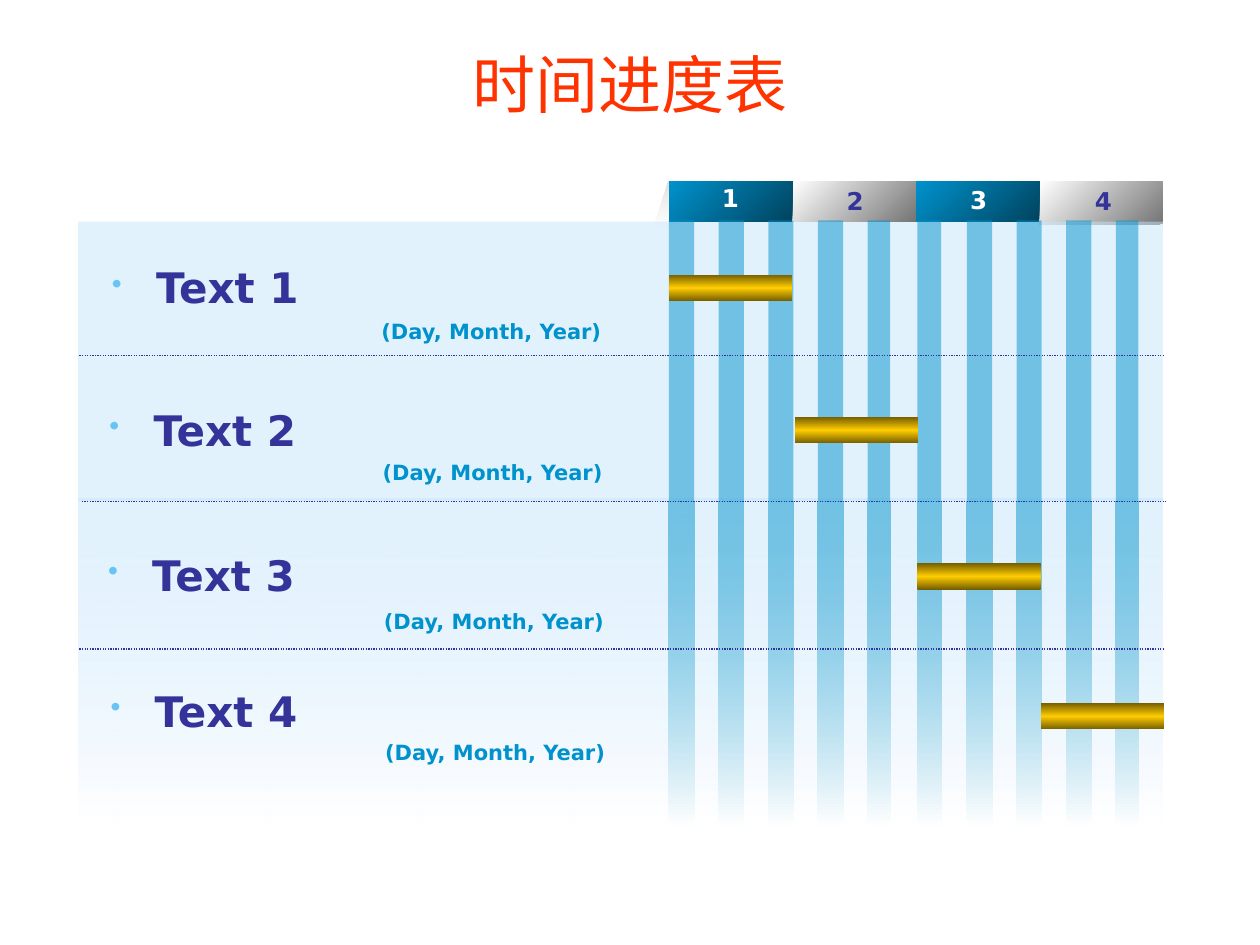
from lxml import etree
from pptx import Presentation
from pptx.dml.color import RGBColor
from pptx.enum.dml import MSO_LINE
from pptx.enum.shapes import MSO_CONNECTOR, MSO_SHAPE
from pptx.enum.text import MSO_ANCHOR, PP_ALIGN
from pptx.oxml.ns import qn
from pptx.util import Inches, Pt

# Content
TITLE = "时间进度表"
DATE = "(Day, Month, Year)"
# label, label box (left, top, width, height), date top, bar (left, top)
TASKS = [
    ("Text 1", (0.79, 2.03, 4.04, 0.43), 2.48, (5.31, 2.18)),
    ("Text 2", (0.77, 3.16, 2.38, 0.5), 3.6, (6.31, 3.31)),
    ("Text 3", (0.76, 4.31, 2.68, 0.38), 4.78, (7.28, 4.47)),
    ("Text 4", (0.78, 5.39, 2.47, 0.5), 5.82, (8.26, 5.58)),
]
# period, header style, header height, number box (left, top, width, height)
PERIODS = [
    ("1", "blue", 0.32, (5.56, 1.44, 0.56, 0.26)),
    ("2", "grey", 0.32, (6.55, 1.46, 0.51, 0.26)),
    ("3", "blue", 0.32, (7.53, 1.45, 0.51, 0.27)),
    ("4", "grey", 0.34, (8.52, 1.45, 0.43, 0.28)),
]
DIVIDERS = [(0.63, 2.82), (0.65, 3.98), (0.63, 5.15)]

COLORS = {
    "title": "FF3300", "label": "333399", "date": "0092CC", "white": "FFFFFF",
    "bullet": "66C5F4", "panel": "C7E6FD", "stripe": "0092CC",
}
# Fills: angle and stops of (position, colour, opacity)
FILLS = {
    "blue": (225, [(0, "00435E", 100), (100, "0092CC", 100)]),
    "grey": (225, [(0, "757575", 100), (100, "FFFFFF", 100)]),
    "gold": (90, [(0, "755E00", 100), (50, "FFCC00", 100), (100, "755E00", 100)]),
    "fold": (118, [(0, "DDDDDD", 100), (100, "FEFEFE", 20)]),
    "panel fade": (90, [(0, COLORS["panel"], 50), (100, "FFFFFF", 100)]),
    "stripe fade": (90, [(0, COLORS["stripe"], 50), (100, "FFFFFF", 100)]),
    "panel": (0, [(0, COLORS["panel"], 50)]),
    "stripe": (0, [(0, COLORS["stripe"], 50)]),
}

# Grid
GRID_LEFT, PERIOD_WIDTH, HEADER_TOP = 5.31, 0.98, 1.44
PANEL_LEFT, PANEL_WIDTH = 0.62, 8.61
STRIPE_COUNT, STRIPE_PITCH, STRIPE_WIDTH = 10, 0.394, 0.2
NARROW_STRIPES = {4: 0.18, 5: 0.19, 9: 0.18}
BAR_HEIGHT = 0.21


def inches(values):
    return [Inches(value) for value in values]


def paint(shape, fill_name):
    """Give a shape a gradient, or a plain translucent fill for one stop."""
    angle, stops = FILLS[fill_name]
    shape.shadow.inherit = False
    shape.line.fill.background()
    if len(stops) == 1:
        fill = etree.Element(qn("a:solidFill"))
    else:
        fill = etree.Element(qn("a:gradFill"), rotWithShape="1")
        stop_list = etree.SubElement(fill, qn("a:gsLst"))
        etree.SubElement(fill, qn("a:lin"), ang=str(angle * 60000), scaled="0")
    for position, color, opacity in stops:
        holder = fill
        if len(stops) > 1:
            holder = etree.SubElement(stop_list, qn("a:gs"), pos=str(position * 1000))
        color_element = etree.SubElement(holder, qn("a:srgbClr"), val=color)
        if opacity < 100:
            etree.SubElement(color_element, qn("a:alpha"), val=str(opacity * 1000))
    shape._element.spPr.find(qn("a:prstGeom") if shape.shape_type == 1
                             else qn("a:custGeom")).addnext(fill)


def add_block(shapes, box, fill_name):
    paint(shapes.add_shape(MSO_SHAPE.RECTANGLE, *inches(box)), fill_name)


def write(shape, text, color, size, bold=True, font="DejaVu Sans",
          align=PP_ALIGN.LEFT, bullet=False, **frame_format):
    frame = shape.text_frame
    for name, value in {"word_wrap": True, **frame_format}.items():
        setattr(frame, name, value)
    paragraph = frame.paragraphs[0]
    paragraph.alignment = align
    run = paragraph.add_run()
    run.text = text
    if bullet:
        properties = paragraph._p.get_or_add_pPr()
        properties.set("marL", str(Inches(0.35)))
        properties.set("indent", str(-Inches(0.35)))
        bullet_color = etree.SubElement(properties, qn("a:buClr"))
        etree.SubElement(bullet_color, qn("a:srgbClr"), val=COLORS["bullet"])
        etree.SubElement(properties, qn("a:buSzPct"), val="70000")
        etree.SubElement(properties, qn("a:buChar"), char="•")
    for name, value in {"size": Pt(size), "bold": bold, "name": font}.items():
        setattr(run.font, name, value)
    run.font.color.rgb = RGBColor.from_string(COLORS[color])


def add_text(slide, box, text, color, size, **formats):
    write(slide.shapes.add_textbox(*inches(box)), text, color, size, **formats)


def add_header(slide, index):
    _, style, height, _ = PERIODS[index]
    left = GRID_LEFT + index * PERIOD_WIDTH
    add_block(slide.shapes, (left, HEADER_TOP, PERIOD_WIDTH, height), style)


def add_stripes(slide, top, height, fill_name):
    group = slide.shapes.add_group_shape()
    for index in range(STRIPE_COUNT):
        left = GRID_LEFT + index * STRIPE_PITCH
        width = NARROW_STRIPES.get(index, STRIPE_WIDTH)
        add_block(group.shapes, (left, top, width, height), fill_name)


def main():
    presentation = Presentation()
    presentation.slide_width, presentation.slide_height = Inches(10), Inches(7.5)
    slide = presentation.slides.add_slide(presentation.slide_layouts[5])

    # Title
    title = slide.shapes.title
    for name, value in zip(("left", "top", "width", "height"), (0, 0.25, 10, 0.83)):
        setattr(title, name, Inches(value))
    write(title, TITLE, "title", 36, bold=False, font="Arial",
          align=PP_ALIGN.CENTER, vertical_anchor=MSO_ANCHOR.MIDDLE)

    # Panels, with the last header and the folded corner behind the upper one
    add_header(slide, 3)
    add_block(slide.shapes, (PANEL_LEFT, 3.96, PANEL_WIDTH, 2.59), "panel fade")
    builder = slide.shapes.build_freeform(*inches((5.06, 1.83)))
    builder.add_line_segments([inches((5.4, 1.83)), inches((5.4, 1.49))], close=True)
    fold = builder.convert_to_shape()
    fold.rotation = 332.5
    paint(fold, "fold")
    add_block(slide.shapes, (PANEL_LEFT, 1.76, PANEL_WIDTH, 2.22), "panel")

    # Period headers and numbers
    for index in (2, 1, 0):
        add_header(slide, index)
    for number, style, _, box in PERIODS:
        add_text(slide, box, number, "white" if style == "blue" else "label", 14,
                 word_wrap=False, vertical_anchor=MSO_ANCHOR.MIDDLE,
                 margin_left=Inches(0.17))

    # Task labels and dates
    for index, (label, box, date_top, _) in enumerate(TASKS):
        add_text(slide, box, label, "label", 24, bullet=True)
        add_text(slide, (2.81 + index * 0.01, date_top, 2.18, 0.3), DATE, "date", 12,
                 align=PP_ALIGN.CENTER)

    # Stripes
    add_stripes(slide, 1.75, 2.23, "stripe")
    add_stripes(slide, 3.98, 2.58, "stripe fade")

    # Dotted dividers
    for left, top in DIVIDERS:
        line = slide.shapes.add_connector(
            MSO_CONNECTOR.STRAIGHT, *inches((left, top, left + 8.6, top)))
        line.line.color.rgb = RGBColor.from_string(COLORS["label"])
        line.line.width = Pt(0.75)
        line.line.dash_style = MSO_LINE.ROUND_DOT
        etree.SubElement(line._element.spPr, qn("a:effectLst"))

    # Progress bars
    for _, _, _, position in TASKS:
        add_block(slide.shapes, (*position, PERIOD_WIDTH, BAR_HEIGHT), "gold")

    presentation.save("out.pptx")


if __name__ == "__main__":
    main()
